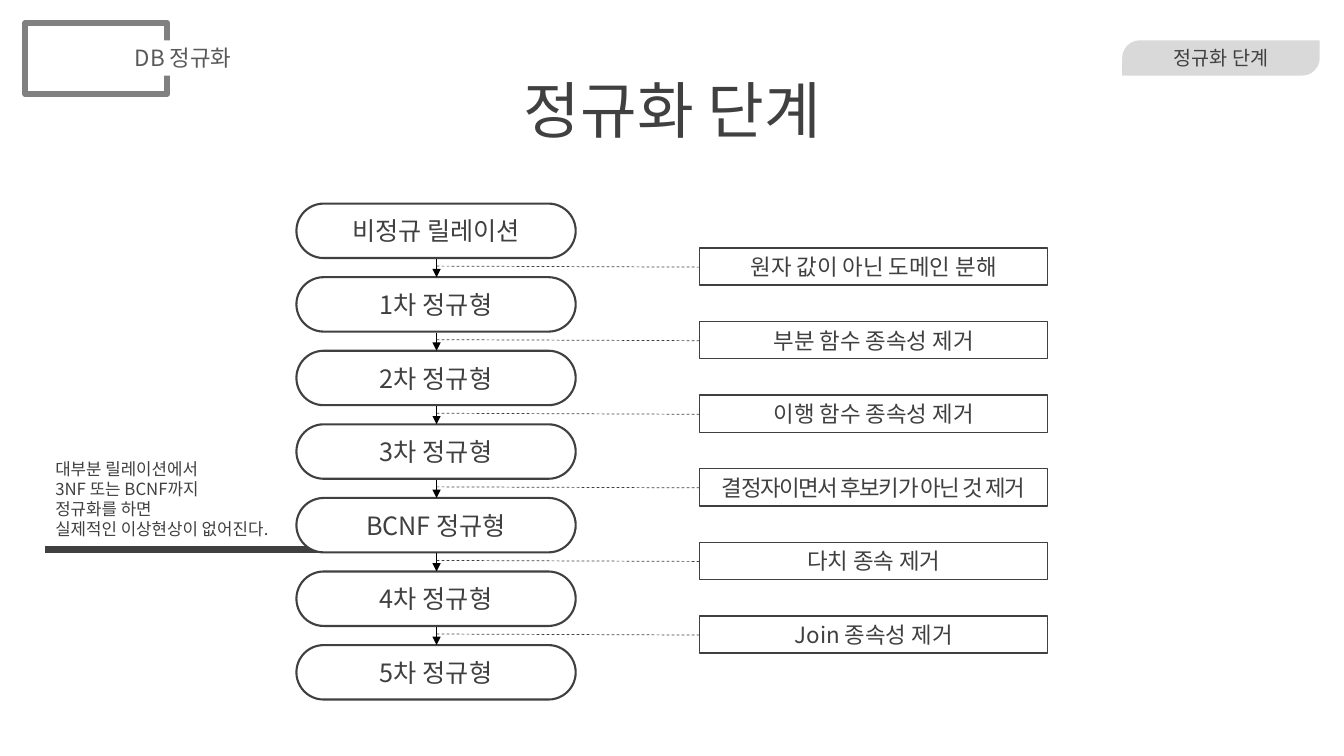
from lxml.etree import SubElement
from pptx import Presentation
from pptx.dml.color import RGBColor
from pptx.enum.dml import MSO_LINE
from pptx.enum.shapes import MSO_CONNECTOR, MSO_SHAPE
from pptx.enum.text import MSO_ANCHOR, PP_ALIGN
from pptx.oxml.ns import qn
from pptx.util import Inches, Pt

FONT = "Noto Sans CJK KR"
DARK = RGBColor(0x40, 0x40, 0x40)
MEDIUM = RGBColor(0x59, 0x59, 0x59)
GRAY = RGBColor(0x80, 0x80, 0x80)
LIGHT = RGBColor(0xD9, 0xD9, 0xD9)
WHITE = RGBColor(0xFF, 0xFF, 0xFF)
BLACK = RGBColor(0, 0, 0)

ROW_PITCH = 0.73
FORMS = ["비정규 릴레이션", "1차 정규형", "2차 정규형", "3차 정규형",
         "BCNF 정규형", "4차 정규형", "5차 정규형"]
ACTIONS = ["원자 값이 아닌 도메인 분해", "부분 함수 종속성 제거", "이행 함수 종속성 제거",
           "결정자이면서 후보키가 아닌 것 제거", "다치 종속 제거", "Join 종속성 제거"]
TIGHT_ACTION = ACTIONS[3]
NOTE = ["대부분 릴레이션에서", "3NF 또는 BCNF까지", "정규화를 하면", "실제적인 이상현상이 없어진다."]


def add_run(paragraph, text, size, color=DARK, spacing=None):
    """Add one styled run; spacing is in points."""
    run = paragraph.add_run()
    run.text = text
    run.font.size = Pt(size)
    run.font.color.rgb = color
    run.font.name = FONT
    properties = run.font._element
    SubElement(properties, qn("a:ea")).set("typeface", FONT)
    if spacing is not None:
        properties.set("spc", str(spacing * 100))


def add_box(slide, kind, box, fill=None, line=None, width=1.0, adjustments=()):
    """Draw a preset shape with the given fill and outline."""
    shape = slide.shapes.add_shape(kind, *map(Inches, box))
    shape.shadow.inherit = False
    for index, value in enumerate(adjustments):
        shape.adjustments[index] = value
    if fill is None:
        shape.fill.background()
    else:
        shape.fill.solid()
        shape.fill.fore_color.rgb = fill
    if line is None:
        shape.line.fill.background()
    else:
        shape.line.color.rgb = line
        shape.line.width = Pt(width)
    return shape


def add_label(shape, text, size, color=DARK, spacing=None):
    """Centre one line of text in a shape."""
    frame = shape.text_frame
    frame.word_wrap = True
    frame.vertical_anchor = MSO_ANCHOR.MIDDLE
    paragraph = frame.paragraphs[0]
    paragraph.alignment = PP_ALIGN.CENTER
    add_run(paragraph, text, size, color, spacing)
    return paragraph


def add_line(slide, start, end, color, width, dashed=False, arrow=False):
    """Draw a straight connector, optionally dashed or with an arrowhead."""
    connector = slide.shapes.add_connector(
        MSO_CONNECTOR.STRAIGHT, *map(Inches, (*start, *end)))
    connector.line.color.rgb = color
    connector.line.width = Pt(width)
    if dashed:
        connector.line.dash_style = MSO_LINE.DASH
    if arrow:
        SubElement(connector.line._get_or_add_ln(), qn("a:tailEnd")).set("type", "triangle")
    SubElement(connector._element.spPr, qn("a:effectLst"))


def add_header(slide, left, top, width):
    """Place the title, the framed subject and the section tab."""
    title = slide.shapes.add_textbox(*map(Inches, (left + 0.67, top + 0.17, 11.5, 1.45)))
    add_label(title, "정규화 단계", 44).line_spacing = 0.9
    add_box(slide, MSO_SHAPE.RECTANGLE, (left, top, 1.41, 0.7), WHITE, GRAY, 4.5)
    subject = add_box(slide, MSO_SHAPE.RECTANGLE, (left + 0.29, top + 0.17, 2.55, 0.35), WHITE)
    add_label(subject, "DB 정규화", 16, MEDIUM)
    tab = add_box(slide, MSO_SHAPE.ROUND_2_DIAG_RECTANGLE,
                  (left + width - 1.96, top + 0.17, 1.96, 0.35), LIGHT, adjustments=(0.5, 0))
    add_label(tab, "정규화 단계", 14)


def add_forms(slide, left, top, width, height):
    """Stack the normal forms, one per row."""
    for row, form in enumerate(FORMS):
        fill = WHITE if form.startswith("BCNF") else None
        pill = add_box(slide, MSO_SHAPE.ROUNDED_RECTANGLE,
                       (left, top + row * ROW_PITCH, width, height), fill, DARK, 1.5, (0.5,))
        add_label(pill, form, 18)


def add_actions(slide, left, top, width, height, axis):
    """Place each action beside its step arrow, joined by a dashed line."""
    for row, action in enumerate(ACTIONS):
        y = top + row * ROW_PITCH
        box = add_box(slide, MSO_SHAPE.RECTANGLE, (left, y, width, height), line=DARK)
        add_label(box, action, 16, spacing=-1 if action == TIGHT_ACTION else None)
        add_line(slide, (axis, y + 0.11), (axis, y + 0.29), BLACK, 0.5, arrow=True)
        add_line(slide, (axis, y + 0.18), (left, y + 0.19), DARK, 0.5, dashed=True)


def add_note(slide, left, top, width, height):
    """Write the remark above its rule."""
    frame = slide.shapes.add_textbox(*map(Inches, (left, top, width, height))).text_frame
    frame.word_wrap = False
    for index, text in enumerate(NOTE):
        paragraph = frame.add_paragraph() if index else frame.paragraphs[0]
        add_run(paragraph, text, 12)


def main():
    """Build and save the normalization steps slide."""
    presentation = Presentation()
    presentation.slide_width = Inches(13.33)
    presentation.slide_height = Inches(7.5)
    slide = presentation.slides.add_slide(presentation.slide_layouts[6])
    add_line(slide, (0.45, 5.45), (3.81, 5.45), DARK, 4.5)
    add_header(slide, 0.25, 0.23, 12.84)
    add_forms(slide, 2.94, 2.02, 2.77, 0.54)
    add_actions(slide, 6.94, 2.46, 3.45, 0.37, axis=4.33)
    add_note(slide, 0.45, 4.5, 2.33, 0.91)
    presentation.save("out.pptx")


if __name__ == "__main__":
    main()
